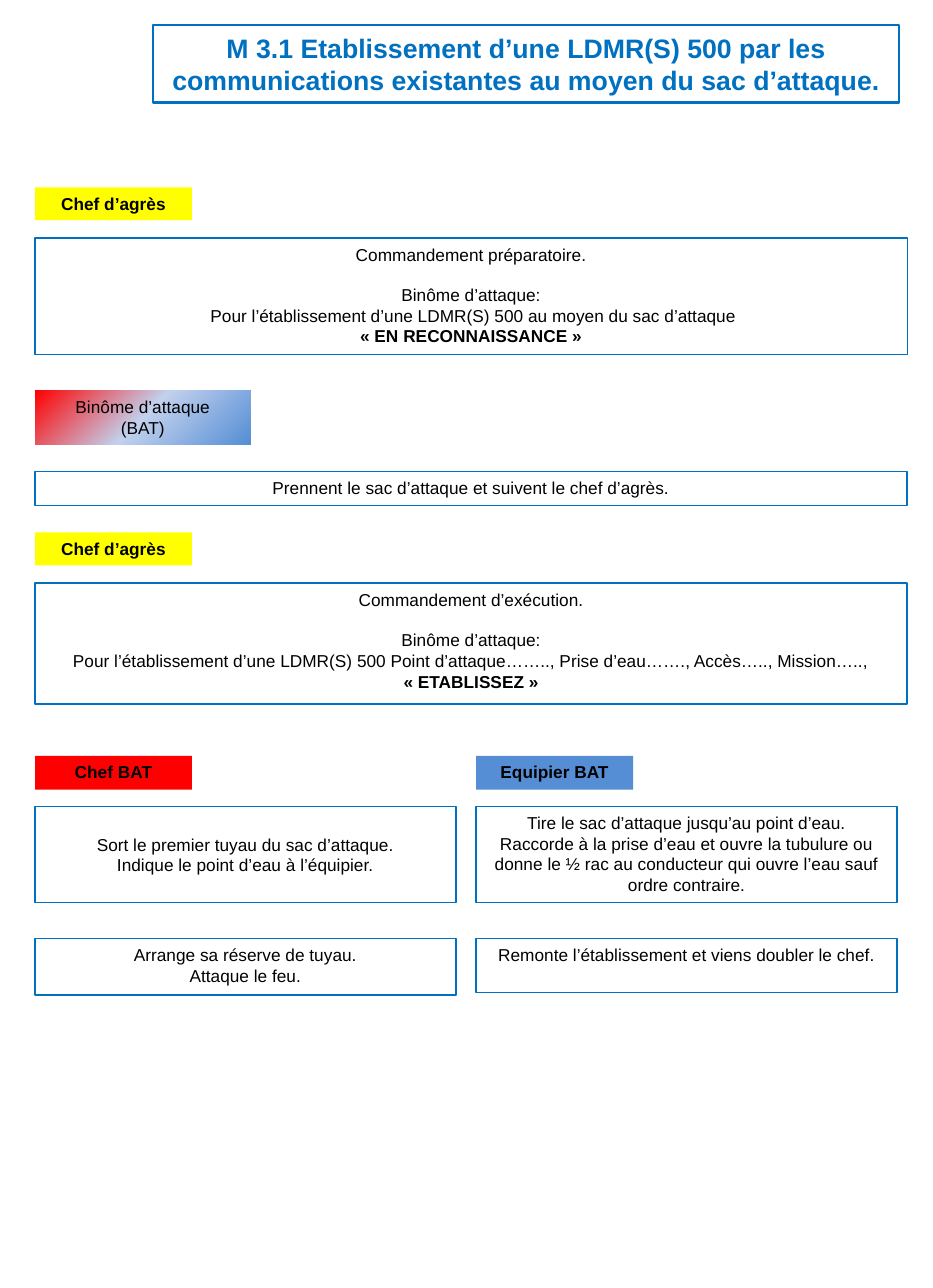
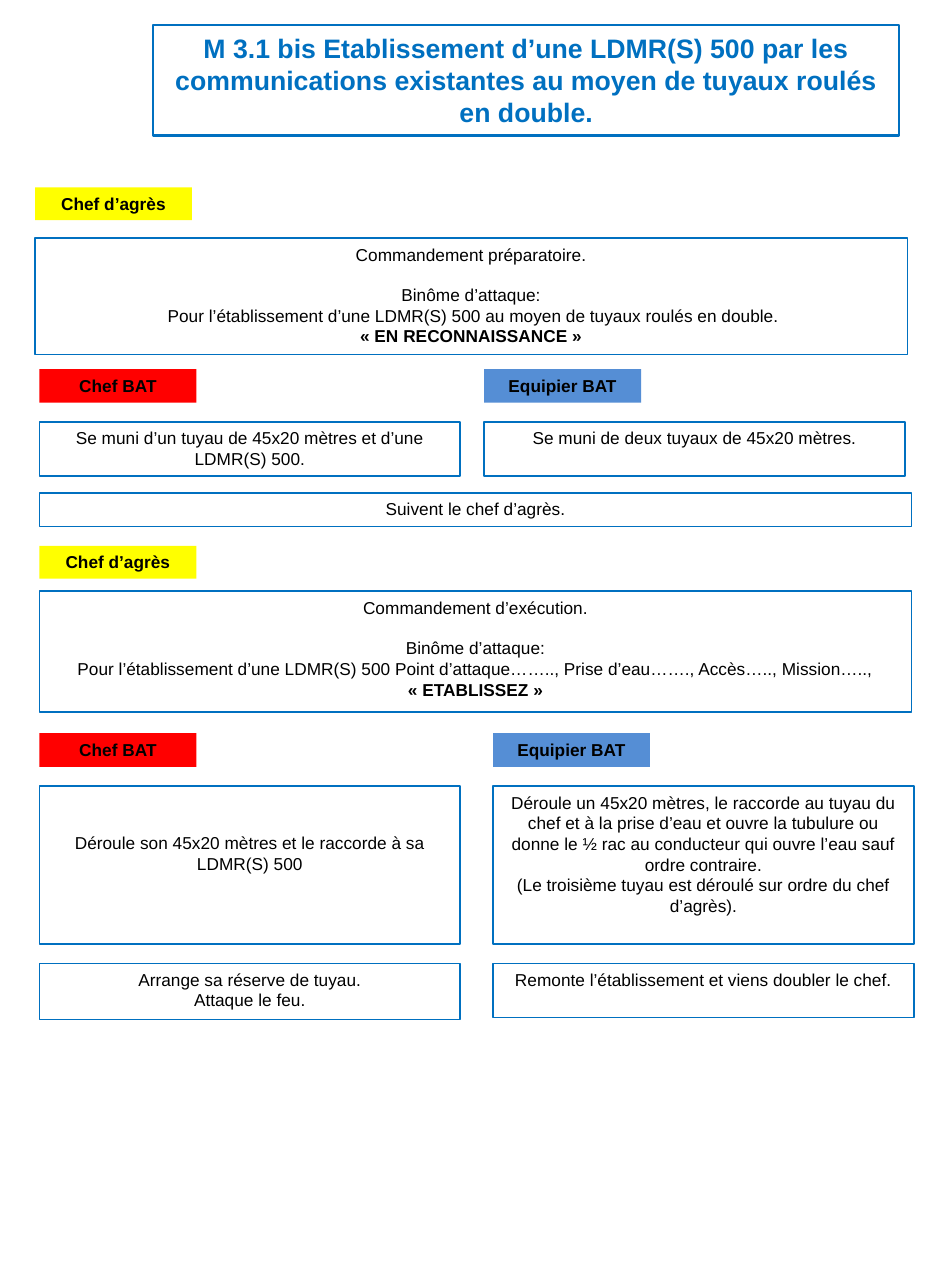
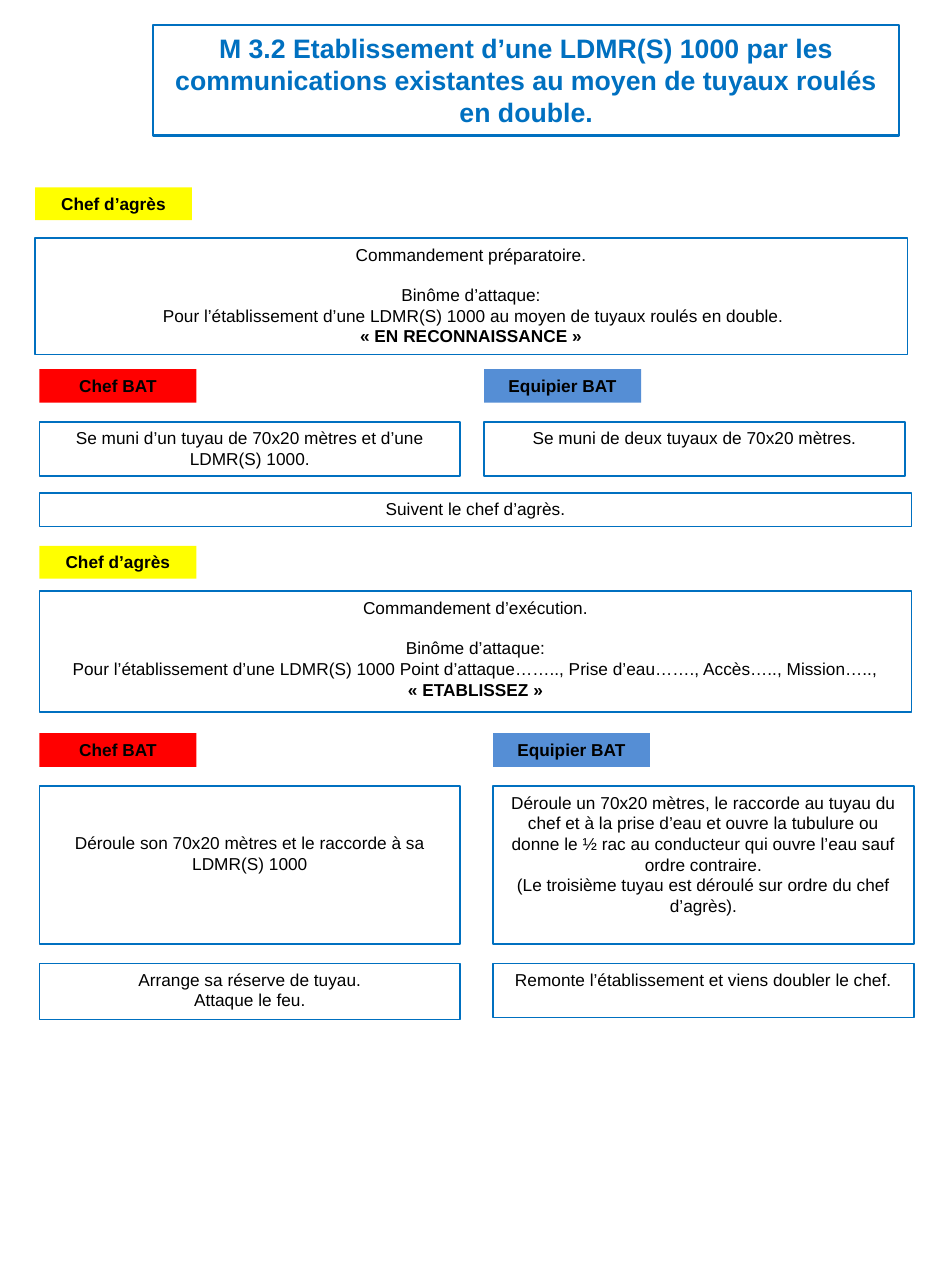
"""Builds three instruction sheets for fire hose drills."""
from collections import namedtuple

from lxml.etree import SubElement
from pptx import Presentation
from pptx.dml.color import RGBColor
from pptx.enum.shapes import MSO_SHAPE as Shape
from pptx.enum.text import MSO_ANCHOR as Anchor, MSO_AUTO_SIZE as AutoSize, PP_ALIGN as Align
from pptx.oxml.ns import qn
from pptx.util import Cm, Pt

FONT, BLUE, BLACK = "Arial", "0070C0", "000000"
TEXT_SIZE, TITLE_SIZE = 11, 17
BLANK_LINE = 12.65
TAG_FILLS = {"Chef d’agrès": "FFFF00", "Chef BAT": "FF0000", "Equipier BAT": "558ED5"}
PAIR_STOPS = [(0, "FF0000"), (50, "C2D1ED"), (100, "558ED5")]
FULL, HALF, TAG = 19.63, 9.47, 3.53
MARGIN, INDENT = 0.79, 0.89

Line = namedtuple("Line", "text bold gap", defaults=(False, 0))
Label = namedtuple("Label", "text left top height", defaults=(0.76,))
Panel = namedtuple("Panel", "lines left top width height line anchor inset",
                   defaults=(1, Anchor.TOP, 0.13))


def command(kind, order, call):
    """Return the lines of a spoken command."""
    return [Line(f"Commandement {kind}."), Line("Binôme d’attaque:", gap=BLANK_LINE),
            Line(f" Pour l’établissement d’une {order}"), Line(f"« {call} »", bold=True)]


def preparation(lance, means):
    """Return the opening label and command, placed alike on every slide."""
    lines = command("préparatoire", f"{lance} au moyen {means}", "EN RECONNAISSANCE")
    return [Label("Chef d’agrès", MARGIN, 4.22, 0.74),
            Panel(lines, MARGIN, 5.36, FULL, 2.62, line=0.75)]


def execution(lance, left, label_top, top):
    """Return the label and command that start the work."""
    order = f"{lance} Point d’attaque…….., Prise d’eau……., Accès….., Mission….., "
    return [Label("Chef d’agrès", left, label_top, 0.74),
            Panel(command("d’exécution", order, "ETABLISSEZ"), left, top, FULL, 2.72)]


def crew(left, right, top):
    """Return the labels of the two team members."""
    return [Label("Chef BAT", left, top), Label("Equipier BAT", right, top)]


def ending(left, right, top):
    """Return the last step of the two team members."""
    return [Panel([Line("Arrange sa réserve de tuyau."), Line("Attaque le feu.")],
                  left, top, HALF, 1.27),
            Panel([Line("Remonte l’établissement et viens doubler le chef.")],
                  right, top, HALF, 1.22)]


def bag_sheet(lance):
    """Return the parts of the attack bag drill."""
    right = 10.72
    chief = [Line("Sort le premier tuyau du sac d’attaque."),
             Line("Indique le point d’eau à l’équipier.")]
    mate = [Line("Tire le sac d’attaque jusqu’au point d’eau."),
            Line("Raccorde à la prise d’eau et ouvre la tubulure ou donne le ½ rac au "
                 "conducteur qui ouvre l’eau sauf ordre contraire.")]
    follow = [Line("Prennent le sac d’attaque et suivent le chef d’agrès.")]
    return [*preparation(lance, "du sac d’attaque"),
            Panel([Line("Binôme d’attaque"), Line("(BAT)")], MARGIN, 8.79, 4.85, 1.22, line=0),
            Panel(follow, MARGIN, 10.62, FULL, 0.76),
            *execution(lance, MARGIN, 11.99, 13.13),
            *crew(MARGIN, right, 17.02),
            Panel(chief, MARGIN, 18.16, HALF, 2.16, anchor=Anchor.MIDDLE),
            Panel(mate, right, 18.16, HALF, 2.16),
            *ending(MARGIN, right, 21.13)]


def hose_sheet(lance, hose):
    """Return the parts of a drill with double rolled hoses."""
    upper_right, lower_right = 10.9, 11.1
    mate = [Line(f"Déroule un {hose} mètres, le raccorde au tuyau du chef et à la prise d’eau "
                 "et ouvre la tubulure ou donne le ½ rac au conducteur qui ouvre l’eau sauf "
                 "ordre contraire."),
            Line("(Le troisième tuyau est déroulé sur ordre du chef d’agrès).")]
    return [*preparation(lance, "de tuyaux roulés en double."),
            *crew(INDENT, upper_right, 8.31),
            Panel([Line(f"Se muni d’un tuyau de {hose} mètres et d’une {lance}.")],
                  INDENT, 9.5, HALF, 1.22),
            Panel([Line(f"Se muni de deux tuyaux de {hose} mètres.")],
                  upper_right, 9.5, HALF, 1.22),
            Panel([Line("Suivent le chef d’agrès.")], INDENT, 11.1, FULL, 0.76),
            *execution(lance, INDENT, 12.29, 13.31),
            *crew(INDENT, lower_right, 16.51),
            Panel([Line(f"Déroule son {hose} mètres et le raccorde à sa {lance}")],
                  INDENT, 17.7, HALF, 3.56, inset=1.04),
            Panel(mate, lower_right, 17.7, HALF, 3.56),
            *ending(INDENT, lower_right, 21.69)]


SHEETS = [
    ("M 3.1 Etablissement d’une LDMR(S) 500 par les communications existantes "
     "au moyen du sac d’attaque.", 1.75, bag_sheet("LDMR(S) 500")),
    ("M 3.1 bis Etablissement d’une LDMR(S) 500 par les communications existantes "
     "au moyen de tuyaux roulés en double.", 2.49, hose_sheet("LDMR(S) 500", "45x20")),
    ("M 3.2 Etablissement d’une LDMR(S) 1000 par les communications existantes "
     "au moyen de tuyaux roulés en double.", 2.49, hose_sheet("LDMR(S) 1000", "70x20")),
]


def rgb(value):
    """Return the colour of a hex string."""
    return RGBColor.from_string(value)


def place(shape, left, top, width, height):
    """Move and size a shape, in centimetres."""
    shape.left, shape.top, shape.width, shape.height = map(Cm, (left, top, width, height))


def outline(shape, width):
    """Give a shape a blue line, or none when the width is zero."""
    if width:
        shape.line.color.rgb = rgb(BLUE)
        shape.line.width = Pt(width)
    else:
        shape.line.fill.background()


def write(shape, lines, size=TEXT_SIZE, color=BLACK, anchor=Anchor.TOP, side=0.28, top=0.13,
          bottom=0.13):
    """Write centred lines into a shape."""
    frame = shape.text_frame
    frame.word_wrap = True
    frame.auto_size = AutoSize.NONE
    frame.vertical_anchor = anchor
    frame.margin_left = frame.margin_right = Cm(side)
    frame.margin_top, frame.margin_bottom = Cm(top), Cm(bottom)
    for index, line in enumerate(lines):
        para = frame.add_paragraph() if index else frame.paragraphs[0]
        para.alignment = Align.CENTER
        para.space_before = Pt(line.gap)
        span = para.add_run()
        span.text = line.text
        span.font.name, span.font.size, span.font.bold = FONT, Pt(size), line.bold
        span.font.color.rgb = rgb(color)


def add_box(slide, left, top, width, height):
    """Add a plain rectangle without fill or shadow."""
    box = slide.shapes.add_shape(Shape.RECTANGLE, 0, 0, 0, 0)
    place(box, left, top, width, height)
    box.shadow.inherit = False
    box.fill.background()
    return box


def shade(box, stops):
    """Fill a box with a diagonal gradient."""
    box.fill.gradient()
    box.fill.gradient_angle = 315
    stop_list = box.fill.gradient_stops
    parent = box._element.spPr.find(qn("a:gradFill")).find(qn("a:gsLst"))
    for old in list(parent):
        parent.remove(old)
    for position, color in stops:
        stop = SubElement(parent, qn("a:gs"), pos=str(position * 1000))
        SubElement(stop, qn("a:srgbClr"), val=color)


def add_label(slide, label):
    """Add the coloured name of a role."""
    box = add_box(slide, label.left, label.top, TAG, label.height)
    outline(box, 0)
    box.fill.solid()
    box.fill.fore_color.rgb = rgb(TAG_FILLS[label.text])
    write(box, [Line(label.text, bold=True)])


def add_panel(slide, panel):
    """Add an outlined panel of lines, or a shaded one when it has no line."""
    box = add_box(slide, panel.left, panel.top, panel.width, panel.height)
    outline(box, panel.line)
    if not panel.line:
        shade(box, PAIR_STOPS)
    write(box, panel.lines, anchor=panel.anchor, top=panel.inset)


def add_title(slide, text, height):
    """Format the title placeholder as a blue framed heading."""
    title = slide.shapes.title
    place(title, 3.45, 0.56, 16.79, height)
    outline(title, 1.5)
    write(title, [Line(text, bold=True)], TITLE_SIZE, BLUE, side=0.3, top=0.15, bottom=0.15)


def main():
    """Build and save the deck."""
    deck = Presentation()
    deck.slide_width, deck.slide_height = Cm(21), Cm(29)
    for title, title_height, parts in SHEETS:
        slide = deck.slides.add_slide(deck.slide_layouts[5])
        add_title(slide, title, title_height)
        for part in parts:
            if isinstance(part, Label):
                add_label(slide, part)
            else:
                add_panel(slide, part)
    deck.save("out.pptx")


if __name__ == "__main__":
    main()
